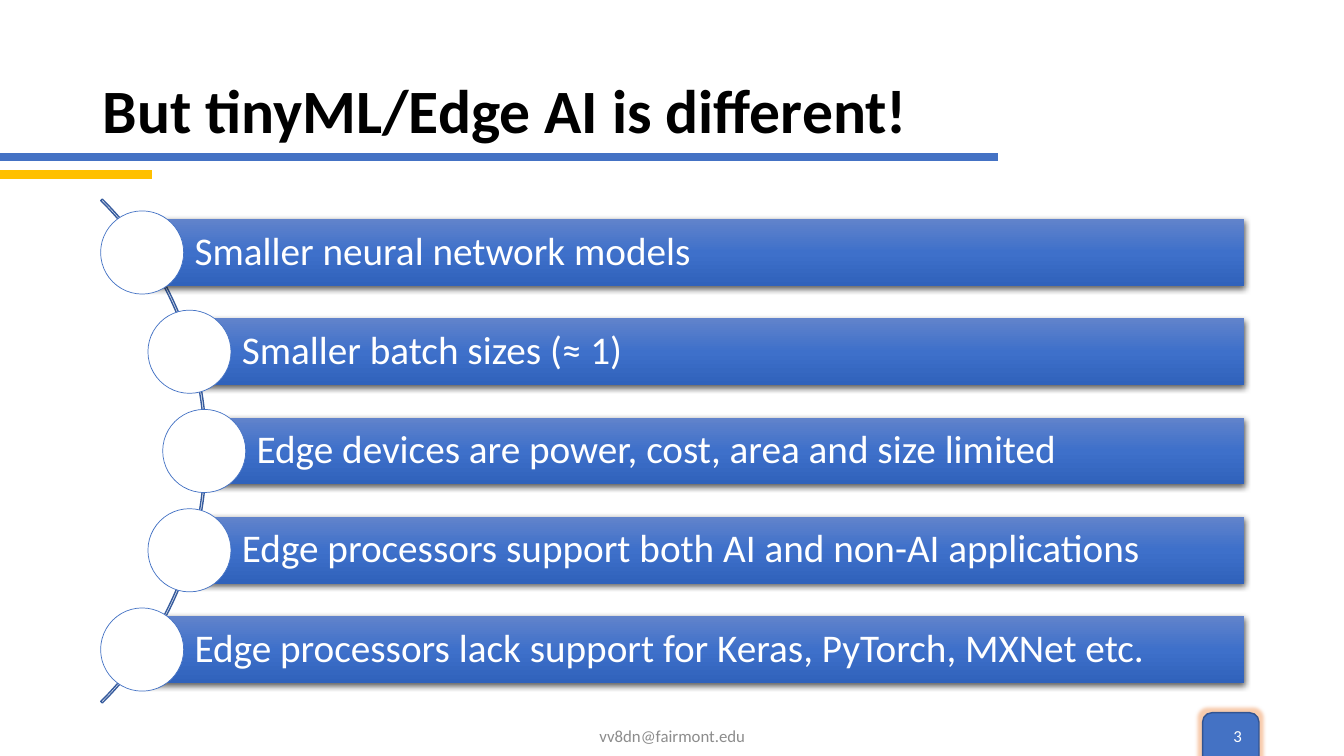
from pptx import Presentation
from pptx.dml.color import RGBColor
from pptx.enum.shapes import MSO_CONNECTOR as Conn, MSO_SHAPE as Kind
from pptx.enum.text import MSO_ANCHOR as Anchor, PP_ALIGN as Align
from pptx.oxml import parse_xml
from pptx.oxml.ns import nsdecls
from pptx.util import Inches, Pt

BLUE = RGBColor(0x44, 0x72, 0xC4)
NAVY = RGBColor(0x32, 0x54, 0x91)
ARC = RGBColor(0x36, 0x5B, 0x9D)
GOLD = RGBColor(0xFF, 0xC0, 0x00)
GRAY = RGBColor(0x8C, 0x8C, 0x8C)
BLACK = RGBColor(0x00, 0x00, 0x00)
WHITE = RGBColor(0xFF, 0xFF, 0xFF)

deck = Presentation()
deck.slide_width, deck.slide_height = Inches(13.33), Inches(7.5)
col, row = deck.slide_width / 100, deck.slide_height / 100
slide = deck.slides.add_slide(deck.slide_layouts[6])
items = slide.shapes


def draw(kind, x, y, w, h, fill=None, line=None, width=1):
    shape = items.add_shape(kind, int(x * col), int(y * row), int(w * col), int(h * row))
    shape.shadow.inherit = False
    if fill is None:
        shape.fill.background()
    else:
        shape.fill.solid()
        shape.fill.fore_color.rgb = fill
    if line is None:
        shape.line.fill.background()
    else:
        shape.line.color.rgb = line
        shape.line.width = Pt(width)
    return shape


def write(shape, text, size, color, align=Align.LEFT, bold=False):
    frame = shape.text_frame
    frame.word_wrap = True
    frame.vertical_anchor = Anchor.MIDDLE
    para = frame.paragraphs[0]
    para.alignment = align
    para.line_spacing = 0.9 if size > 12 else 1.0
    run = para.add_run()
    run.text = text
    look = {"name": "Calibri", "size": Pt(size), "bold": bold}
    for key, value in look.items():
        setattr(run.font, key, value)
    run.font.color.rgb = color


badge = draw(Kind.ROUNDED_RECTANGLE, 89.48, 94.27, 4.2, 7.47, BLUE, NAVY)
badge._element.spPr[-1].append(parse_xml(
    f'<a:glow {nsdecls("a")} rad="63500"><a:srgbClr val="ED7D31">'
    '<a:alpha val="40000"/></a:srgbClr></a:glow>'))

for end, y, color in [(74.25, 20.8, BLUE), (11.33, 23.07, GOLD)]:
    rule = items.add_connector(Conn.STRAIGHT, 0, int(y * row), int(end * col), int(y * row))
    rule.line.color.rgb = color
    rule.line.width = Pt(6)
    rule._element.spPr.append(parse_xml(f'<a:effectLst {nsdecls("a")}/>'))

labels = [
    (6.9, 5.33, 86.25, 19.33, "But tinyML/Edge AI is different!", 44, BLACK, Align.LEFT, True),
    (33.15, 94.67, 33.75, 5.33, "vv8dn@fairmont.edu", 12, GRAY, Align.CENTER, False),
    (70.65, 94.67, 22.5, 5.33, "3", 12, WHITE, Align.RIGHT, False),
]
for x, y, w, h, *style in labels:
    box = items.add_textbox(int(x * col), int(y * row), int(w * col), int(h * row))
    write(box, *style)

arc = draw(Kind.BLOCK_ARC, -37.65, 12.53, 53.03, 94.27, None, ARC)
for i, value in enumerate([189, 27, 0.003]):
    arc.adjustments[i] = value

points = [
    (10.58, "Smaller neural network models"),
    (14.1, "Smaller batch sizes (≈ 1)"),
    (15.2, "Edge devices are power, cost, area and size limited"),
    (14.1, "Edge processors support both AI and non-AI applications"),
    (10.58, "Edge processors lack support for Keras, PyTorch, MXNet etc."),
]
stops = "".join(
    f'<a:gs pos="{pos}"><a:srgbClr val="{tone}"/></a:gs>'
    for pos, tone in [(0, "6183CB"), (50000, "3E70CA"), (100000, "3062BB")])
right, top, step, high = 92.57, 33.4, 13.13, 8.83
wide, tall = 6.18, 11
pads = {"margin_left": 3.9 * col, "margin_right": 0.6 * col,
        "margin_top": row, "margin_bottom": row}

for i, (x, text) in enumerate(points):
    mid = top + i * step
    bar = draw(Kind.RECTANGLE, x, mid - high / 2, right - x, high)
    props = bar._element.spPr
    props.replace(props[2], parse_xml(
        f'<a:gradFill {nsdecls("a")} rotWithShape="1"><a:gsLst>{stops}</a:gsLst>'
        '<a:lin ang="5400000" scaled="0"/></a:gradFill>'))
    props[-1].append(parse_xml(
        f'<a:outerShdw {nsdecls("a")} blurRad="57150" dist="19050" dir="5400000" '
        'algn="ctr" rotWithShape="0"><a:srgbClr val="000000">'
        '<a:alpha val="63000"/></a:srgbClr></a:outerShdw>'))
    for key, value in pads.items():
        setattr(bar.text_frame, key, int(value))
    write(bar, text, 28, WHITE)
    draw(Kind.OVAL, x - wide / 2, mid - tall / 2, wide, tall, WHITE, BLUE, 0.5)

deck.save("out.pptx")
